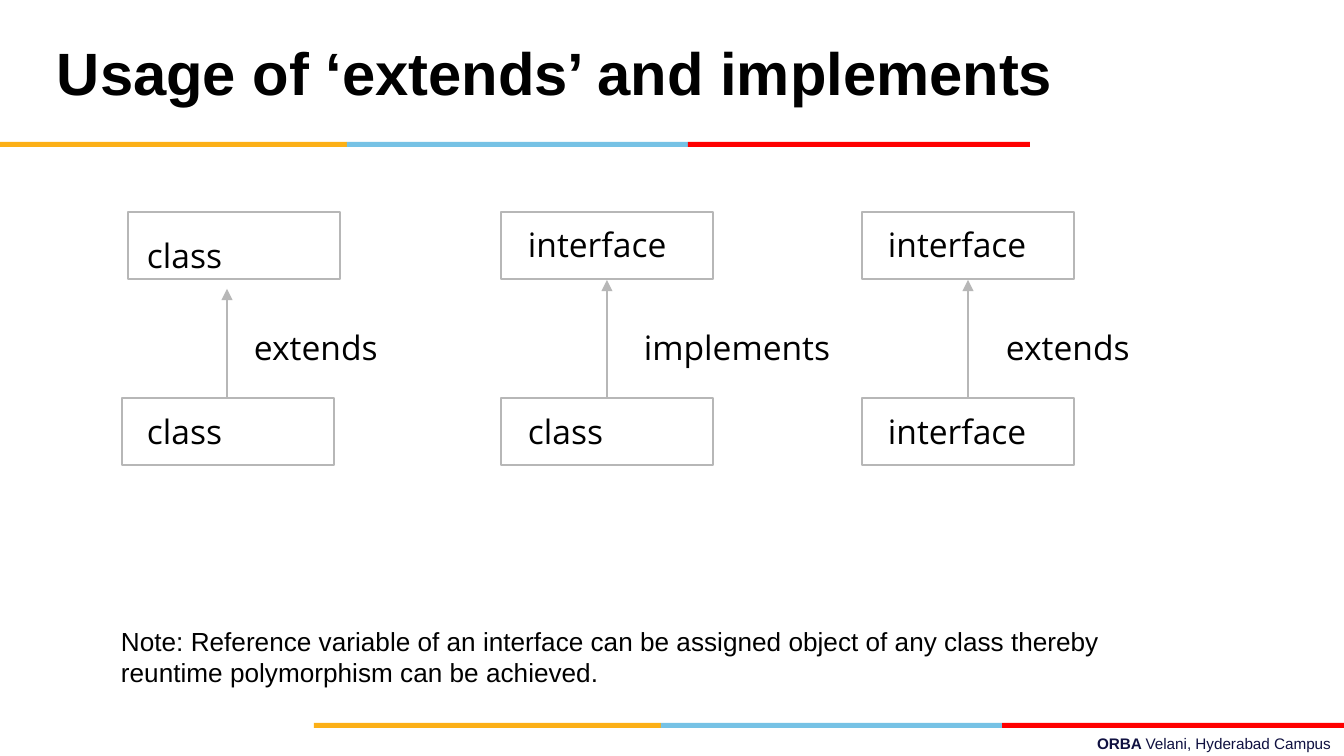
from lxml import etree
from pptx import Presentation
from pptx.dml.color import RGBColor
from pptx.enum.shapes import MSO_CONNECTOR, MSO_SHAPE
from pptx.enum.text import MSO_ANCHOR, PP_ALIGN
from pptx.oxml.ns import qn
from pptx.util import Pt

RECTANGLE = MSO_SHAPE.RECTANGLE
STRAIGHT = MSO_CONNECTOR.STRAIGHT
TOP, MIDDLE = MSO_ANCHOR.TOP, MSO_ANCHOR.MIDDLE
LEFT, RIGHT = PP_ALIGN.LEFT, PP_ALIGN.RIGHT

BLACK = RGBColor(0x00, 0x00, 0x00)
WHITE = RGBColor(0xFF, 0xFF, 0xFF)
GRAY = RGBColor(0xB7, 0xB7, 0xB7)
NAVY = RGBColor(0x10, 0x11, 0x41)
AMBER = RGBColor(0xFC, 0xB0, 0x17)
SKY = RGBColor(0x76, 0xC2, 0xE5)
RED = RGBColor(0xFF, 0x00, 0x00)

TITLE = {"name": "Arial", "size": Pt(32), "bold": True}
DIAGRAM = {"name": "Open Sans", "size": Pt(18)}
NOTE = {"name": "Arial", "size": Pt(14)}
CAMPUS = {"name": "Arial", "size": Pt(8.2), "bold": False}
BRAND = {**CAMPUS, "bold": True}

SCALE = 914400 / 134.4


def px(*lengths):
    return [round(length * SCALE) for length in lengths]


def add_text(place, spans, color=BLACK, inset=13, anchor=TOP, align=LEFT, spacing=None):
    box = page.shapes.add_textbox(*px(*place))
    frame = box.text_frame
    side, edge = px(13, inset)
    settings = {
        "word_wrap": True,
        "vertical_anchor": anchor,
        "margin_left": side,
        "margin_right": side,
        "margin_top": edge,
        "margin_bottom": edge,
    }
    for key, value in settings.items():
        setattr(frame, key, value)
    para = frame.paragraphs[0]
    para.alignment = align
    para.line_spacing = spacing
    for text, style in spans:
        span = para.add_run()
        span.text = text
        span.font.color.rgb = color
        for key, value in style.items():
            setattr(span.font, key, value)


deck = Presentation()
deck.slide_width, deck.slide_height = px(1344, 756)
page = deck.slides.add_slide(deck.slide_layouts[6])

for start, top in ((0, 142), (314, 723)):
    for offset, width, color in ((0, 347, AMBER), (347, 341, SKY), (688, 342, RED)):
        bar = page.shapes.add_shape(RECTANGLE, *px(start + offset, top, width, 5))
        bar.shadow.inherit = False
        bar.fill.solid()
        bar.fill.fore_color.rgb = color
        bar.line.fill.background()

add_text(
    (481, 727, 863, 32),
    [("ORBA ", BRAND), ("Velani, Hyderabad Campus", CAMPUS)],
    color=NAVY, inset=7, align=RIGHT,
)
add_text(
    (44, 16, 1030, 126), [("Usage of ‘extends’ and implements", TITLE)],
    anchor=MIDDLE, spacing=0.75,
)

BOX_WIDTH, BOX_HEIGHT = 212, 67
PARENT_TOP, CHILD_TOP, LABEL_TOP = 212, 398, 314
relations = [
    ("class", "extends", "class", 122, 6, 134, 222, 227, 289, 241),
    ("interface", "implements", "class", 501, 0, 515, 211, 607, 280, 631),
    ("interface", "extends", "interface", 862, 0, 875, 211, 968, 280, 993),
]
for (parent, verb, child, left, shift, text_left, parent_text_top,
     arrow_x, arrow_top, label_left) in relations:
    for box_left, top in ((left + shift, PARENT_TOP), (left, CHILD_TOP)):
        box = page.shapes.add_shape(RECTANGLE, *px(box_left, top, BOX_WIDTH, BOX_HEIGHT))
        box.shadow.inherit = False
        box.fill.solid()
        box.fill.fore_color.rgb = WHITE
        box.line.color.rgb = GRAY
        box.line.width = Pt(0.75)

    for text, place in (
        (parent, (text_left, parent_text_top, 185, BOX_HEIGHT)),
        (child, (text_left, CHILD_TOP, 185, BOX_HEIGHT)),
        (verb, (label_left, LABEL_TOP, 220, BOX_HEIGHT)),
    ):
        add_text(place, [(text, DIAGRAM)])

    arrow = page.shapes.add_connector(STRAIGHT, *px(arrow_x, CHILD_TOP, arrow_x, arrow_top))
    arrow.line.color.rgb = GRAY
    arrow.line.width = Pt(0.75)
    etree.SubElement(arrow.line._get_or_add_ln(), qn("a:tailEnd"), type="triangle")
    etree.SubElement(arrow._element.spPr, qn("a:effectLst"))

add_text(
    (108, 618, 1101, 77),
    [("Note: Reference variable of an interface can be assigned object of any class "
      "thereby reuntime polymorphism can be achieved.", NOTE)],
    inset=7,
)

deck.save("out.pptx")
